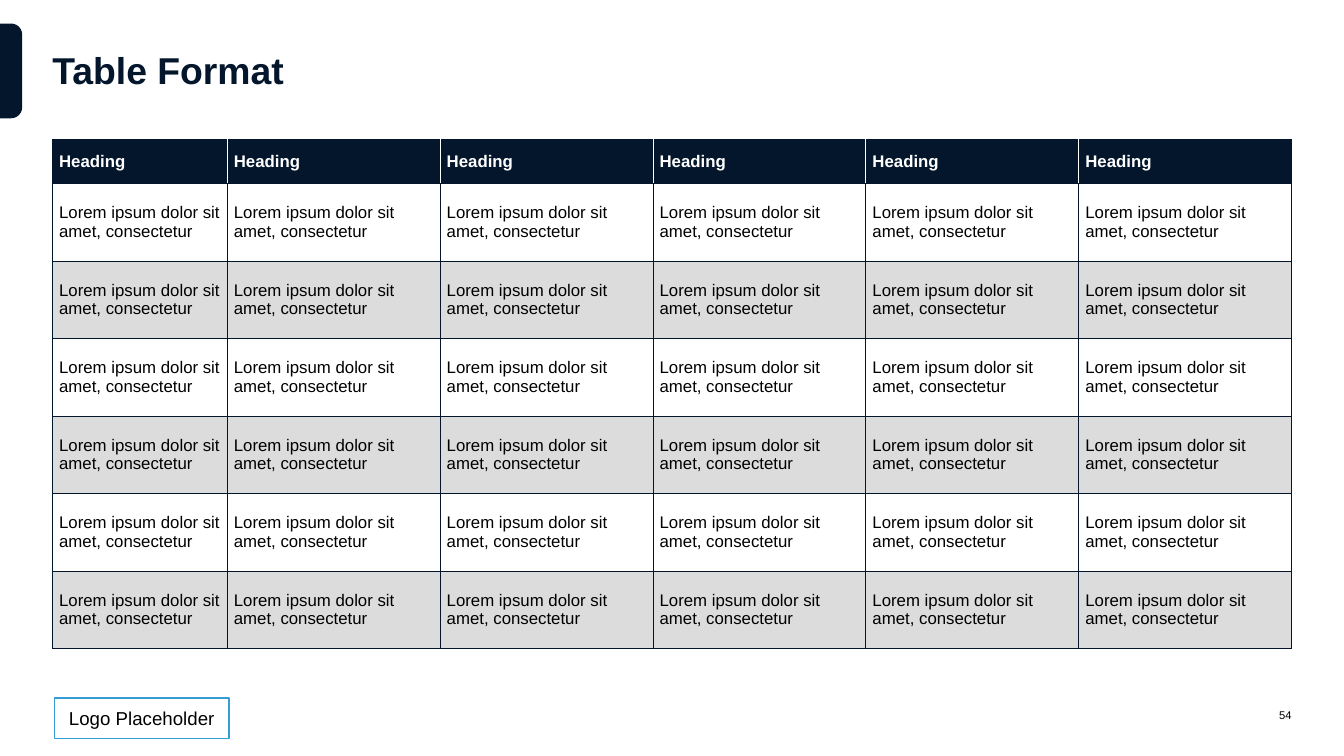
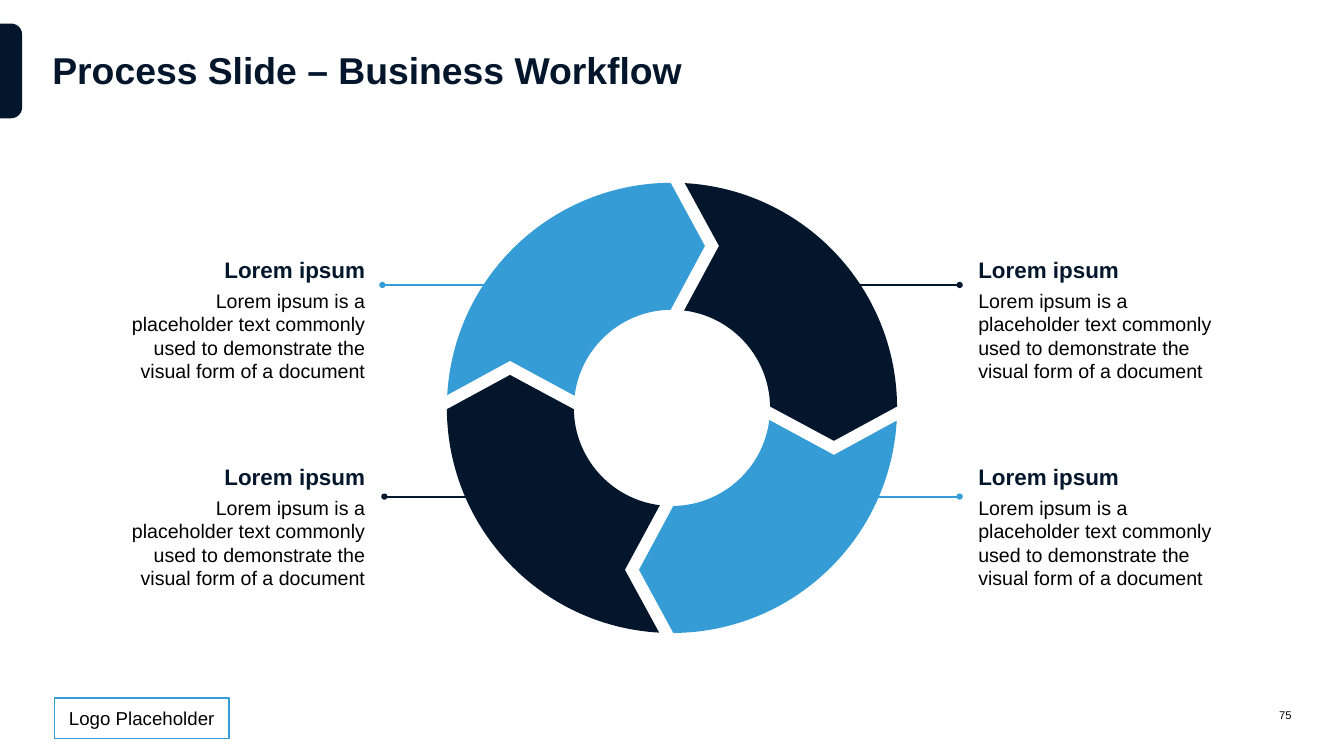
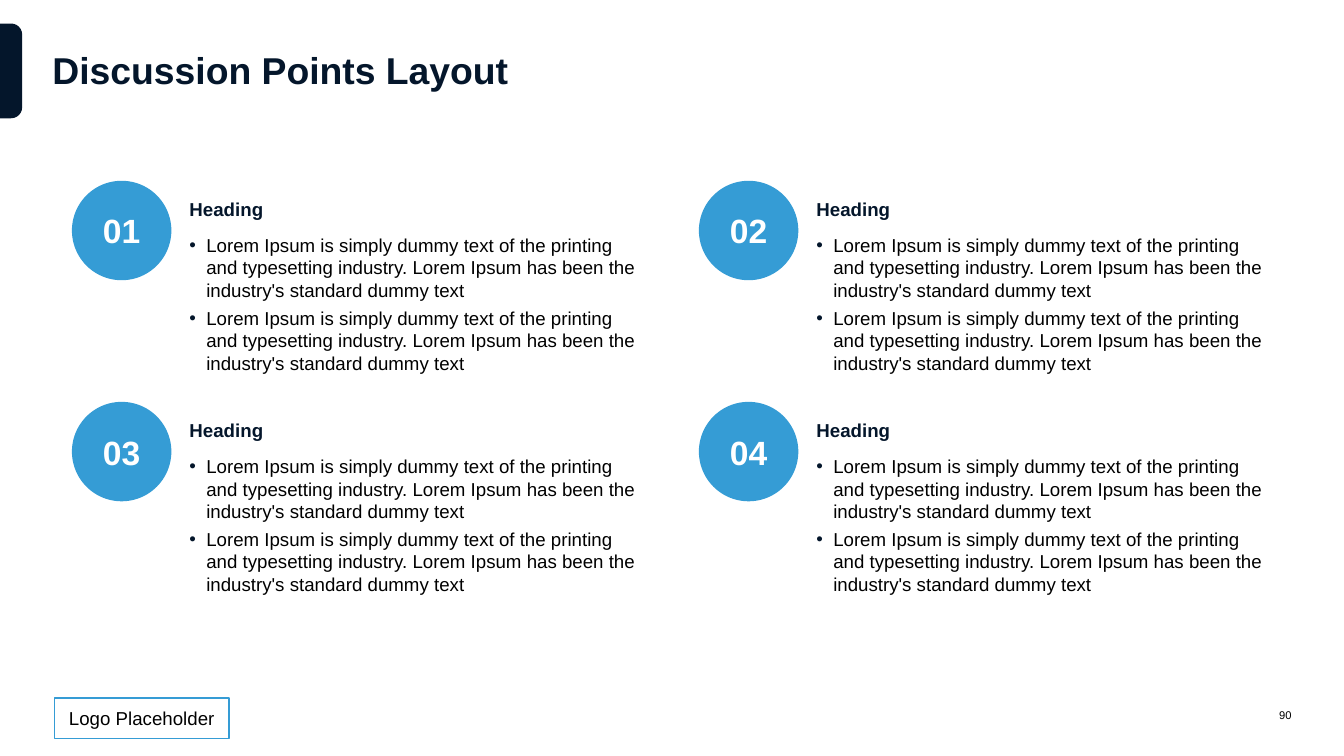
from dataclasses import dataclass
from math import cos, radians, sin, tan

from lxml.etree import SubElement
from pptx import Presentation
from pptx.dml.color import RGBColor
from pptx.enum.shapes import MSO_CONNECTOR, MSO_SHAPE
from pptx.enum.text import MSO_ANCHOR, MSO_AUTO_SIZE, PP_ALIGN
from pptx.oxml.ns import qn
from pptx.util import Emu, Pt

# Shared look
NAVY = RGBColor(0x04, 0x16, 0x2B)
BLUE = RGBColor(0x35, 0x9C, 0xD5)
GREY = RGBColor(0xDC, 0xDC, 0xDC)
WHITE = RGBColor(0xFF, 0xFF, 0xFF)
BLACK = RGBColor(0x00, 0x00, 0x00)
FONT = "Arial"
EMU_PER_PX = 9144  # 100 px to the inch
LEFT, RIGHT = PP_ALIGN.LEFT, PP_ALIGN.RIGHT


@dataclass
class Style:
    size: int
    color: RGBColor = BLACK
    bold: bool = False
    align: PP_ALIGN = LEFT


TITLE = Style(40, NAVY, True)
PAGE_NUMBER = Style(12, align=RIGHT)
LOGO = Style(20, align=PP_ALIGN.CENTER)
TABLE_HEADING = Style(18, WHITE, True)
TABLE_BODY = Style(18)
BADGE = Style(36, WHITE, True, PP_ALIGN.CENTER)
POINT_HEADING = Style(20, NAVY, True)
POINT_BODY = Style(20)

# Repeated wording
CELL_TEXT = "Lorem ipsum dolor sit amet, consectetur"
STEP_TEXT = ("Lorem ipsum is a placeholder text commonly used to demonstrate "
             "the visual form of a document")
POINT_TEXT = ("Lorem Ipsum is simply dummy text of the printing and typesetting "
              "industry. Lorem Ipsum has been the industry's standard dummy text")

# Table geometry
TABLE_WIDTH, TABLE_HEIGHT = 1844, 758
FIRST_COLUMN, HEADER_ROW = 260, 66

# Cycle geometry, in px from the centre of the ring
CENTER_X, CENTER_Y = 1000, 607
OUTER_RADIUS, INNER_RADIUS = 335, 146
OUTER_ANGLES, INNER_ANGLES = (-86.75, -0.35), (-0.8, -82.9)
NOTCH, TIP = (70, -241), (241, 49)


def px(length):
    return Emu(round(length * EMU_PER_PX))


def write(paragraph, text, style):
    paragraph.text = text
    paragraph.alignment = style.align
    for run in paragraph.runs:
        run.font.name = FONT
        run.font.size = Pt(style.size)
        run.font.bold = style.bold
        run.font.color.rgb = style.color


def add_bullet(paragraph):
    properties = paragraph._p.get_or_add_pPr()
    properties.set("marL", str(px(25)))
    properties.set("indent", str(px(-25)))
    color = SubElement(properties, qn("a:buClr"))
    SubElement(color, qn("a:srgbClr"), val=str(NAVY))
    SubElement(properties, qn("a:buFont"), typeface=FONT)
    SubElement(properties, qn("a:buChar"), char="•")


def add_text(slide, box, lines, inset=True, anchor=MSO_ANCHOR.TOP,
             grow=False, bullets=False, line_spacing=None):
    """Add a text box; lines holds (text, style) pairs."""
    shape = slide.shapes.add_textbox(*map(px, box))
    frame = shape.text_frame
    frame.word_wrap = True
    frame.vertical_anchor = anchor
    if grow:
        frame.auto_size = MSO_AUTO_SIZE.SHAPE_TO_FIT_TEXT
    if not inset:
        frame.margin_left = frame.margin_right = 0
        frame.margin_top = frame.margin_bottom = 0
    for index, (text, style) in enumerate(lines):
        paragraph = frame.paragraphs[0] if index == 0 else frame.add_paragraph()
        if bullets:
            add_bullet(paragraph)
        if grow:
            paragraph.space_before = Pt(3 if index else 0)
            paragraph.space_after = Pt(3)
        if line_spacing:
            paragraph.line_spacing = line_spacing
        write(paragraph, text, style)


def paint(shape, fill, line=None):
    shape.shadow.inherit = False
    shape.fill.solid()
    shape.fill.fore_color.rgb = fill
    if line is None:
        shape.line.fill.background()
    else:
        shape.line.color.rgb = line
        shape.line.width = Pt(1.5)


def add_shape(slide, kind, box, fill, line=None, text=None, style=None):
    shape = slide.shapes.add_shape(kind, *map(px, box))
    paint(shape, fill, line)
    if text:
        shape.text_frame.vertical_anchor = MSO_ANCHOR.MIDDLE
        write(shape.text_frame.paragraphs[0], text, style)
    return shape


def add_base_slide(presentation, title, number):
    """Add a slide with side tab, logo box, title and page number."""
    slide = presentation.slides.add_slide(presentation.slide_layouts[6])
    tab = add_shape(slide, MSO_SHAPE.ROUND_2_SAME_RECTANGLE, (-54, 89, 141, 33), NAVY)
    tab.adjustments[0] = 0.5
    tab.rotation = 90
    logo = add_shape(slide, MSO_SHAPE.ROUNDED_RECTANGLE, (81, 1039, 260, 60),
                     WHITE, BLUE, "Logo Placeholder", LOGO)
    logo.adjustments[0] = 0
    add_text(slide, (78, 34, 1844, 139), [(title, TITLE)],
             inset=False, anchor=MSO_ANCHOR.MIDDLE)
    add_text(slide, (1834, 1039, 88, 51), [(str(number), PAGE_NUMBER)],
             inset=False, anchor=MSO_ANCHOR.MIDDLE)
    return slide


# Table
def set_border(cell, side, color):
    border = SubElement(cell._tc.get_or_add_tcPr(), qn(f"a:ln{side}"), w=str(Pt(0.75)))
    fill = SubElement(border, qn("a:solidFill"))
    SubElement(fill, qn("a:srgbClr"), val=str(color))


def format_cell(cell, row, column, last_column):
    header = row == 0
    cell.vertical_anchor = MSO_ANCHOR.MIDDLE
    set_border(cell, "L", WHITE if header and column > 0 else NAVY)
    set_border(cell, "R", WHITE if header and column < last_column else NAVY)
    set_border(cell, "T", NAVY)
    set_border(cell, "B", NAVY)
    if header or row % 2 == 0:
        cell.fill.solid()
        cell.fill.fore_color.rgb = NAVY if header else GREY
    else:
        cell.fill.background()
    write(cell.text_frame.paragraphs[0], "Heading" if header else CELL_TEXT,
          TABLE_HEADING if header else TABLE_BODY)


def add_format_table(slide, rows, columns):
    box = (78, 207, TABLE_WIDTH, TABLE_HEIGHT)
    table = slide.shapes.add_table(rows, columns, *map(px, box)).table
    table.horz_banding = False
    other_column = px((TABLE_WIDTH - FIRST_COLUMN) / (columns - 1))
    other_row = px((TABLE_HEIGHT - HEADER_ROW) / (rows - 1))
    for index, column in enumerate(table.columns):
        column.width = other_column if index else px(FIRST_COLUMN)
    for index, row in enumerate(table.rows):
        row.height = other_row if index else px(HEADER_ROW)
    for row in range(rows):
        for column in range(columns):
            format_cell(table.cell(row, column), row, column, columns - 1)


# Cycle
def arc(radius, angles):
    """Return start, two control points and end of a curve along a circle."""
    start, end = map(radians, angles)
    reach = 4 / 3 * tan((end - start) / 4)

    def point(angle, along):
        return (radius * (cos(angle) - along * sin(angle)),
                radius * (sin(angle) + along * cos(angle)))

    return [point(start, 0), point(start, reach), point(end, -reach), point(end, 0)]


def bend(line, controls, shape):
    """Turn a straight piece of an outline into a curve."""
    line.tag = qn("a:cubicBezTo")
    for index, (x, y) in enumerate(controls):
        control = line.makeelement(
            qn("a:pt"), {"x": str(x - shape.left), "y": str(y - shape.top)})
        line.insert(index, control)


def add_ring_segment(slide, quarter_turns, color):
    points = [*arc(OUTER_RADIUS, OUTER_ANGLES), TIP,
              *arc(INNER_RADIUS, INNER_ANGLES), NOTCH]
    for _ in range(quarter_turns):
        points = [(-y, x) for x, y in points]
    points = [(px(CENTER_X + x), px(CENTER_Y + y)) for x, y in points]
    outer, tip, inner, notch = points[:4], points[4], points[5:9], points[9]
    builder = slide.shapes.build_freeform(*outer[0])
    builder.add_line_segments([outer[3], tip, inner[0], inner[3], notch], close=True)
    segment = builder.convert_to_shape()
    lines = list(segment._element.iter(qn("a:lnTo")))
    bend(lines[0], outer[1:3], segment)
    bend(lines[3], inner[1:3], segment)
    paint(segment, color)


def add_leader(slide, start_x, end_x, y, color):
    leader = slide.shapes.add_connector(
        MSO_CONNECTOR.STRAIGHT, *map(px, (start_x, y, end_x, y)))
    leader.line.color.rgb = color
    leader.line.width = Pt(2.25)
    SubElement(leader.line._get_or_add_ln(), qn("a:headEnd"), type="oval")
    SubElement(leader._element.spPr, qn("a:effectLst"))


def add_cycle(slide):
    for leader in ((1428, 1265, 739, BLUE), (1428, 1258, 424, NAVY),
                   (569, 733, 424, BLUE), (572, 737, 739, NAVY)):
        add_leader(slide, *leader)
    for quarter in (1, 0, 3, 2):
        add_ring_segment(slide, quarter, BLUE if quarter % 2 else NAVY)
    for left, align in ((171, RIGHT), (1446, LEFT)):
        for top in (376, 684):
            add_text(slide, (left, top, 382, 204),
                     [("Lorem ipsum", Style(24, NAVY, True, align)),
                      (STEP_TEXT, Style(21, align=align))], grow=True)


# Discussion points
def add_discussion_point(slide, number, left, top):
    add_shape(slide, MSO_SHAPE.OVAL, (left, top, 148, 148), BLUE,
              text=f"{number:02d}", style=BADGE)
    add_text(slide, (left + 175, top + 29, 683, 39), [("Heading", POINT_HEADING)],
             inset=False, grow=True, line_spacing=0.9)
    add_text(slide, (left + 175, top + 79, 683, 210), [(POINT_TEXT, POINT_BODY)] * 2,
             inset=False, grow=True, bullets=True)


def main():
    presentation = Presentation()
    presentation.slide_width, presentation.slide_height = px(2000), px(1125)

    add_format_table(add_base_slide(presentation, "Table Format", 54), 7, 6)
    add_cycle(add_base_slide(presentation, "Process Slide – Business Workflow", 75))

    points_slide = add_base_slide(presentation, "Discussion Points Layout", 90)
    for index in range(4):
        row, column = divmod(index, 2)
        add_discussion_point(points_slide, index + 1, 107 + 933 * column, 269 + 329 * row)

    presentation.save("out.pptx")


if __name__ == "__main__":
    main()
